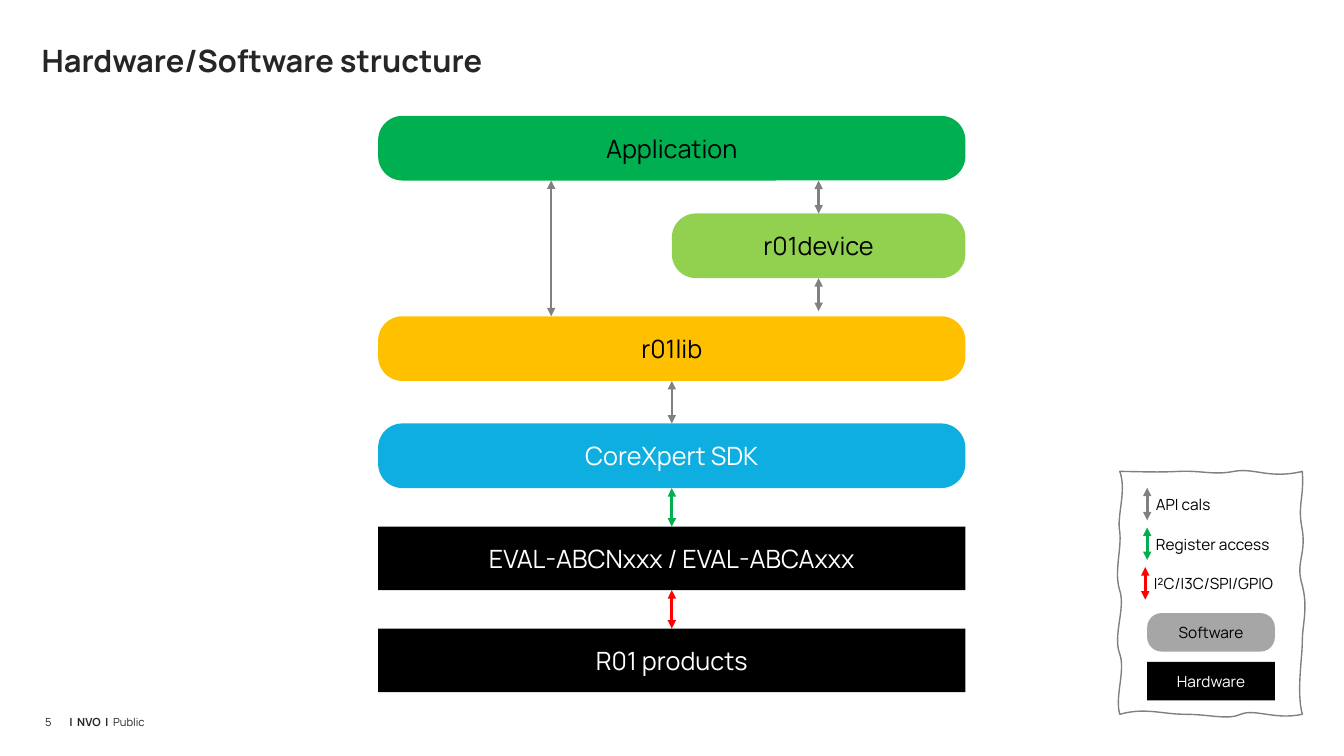
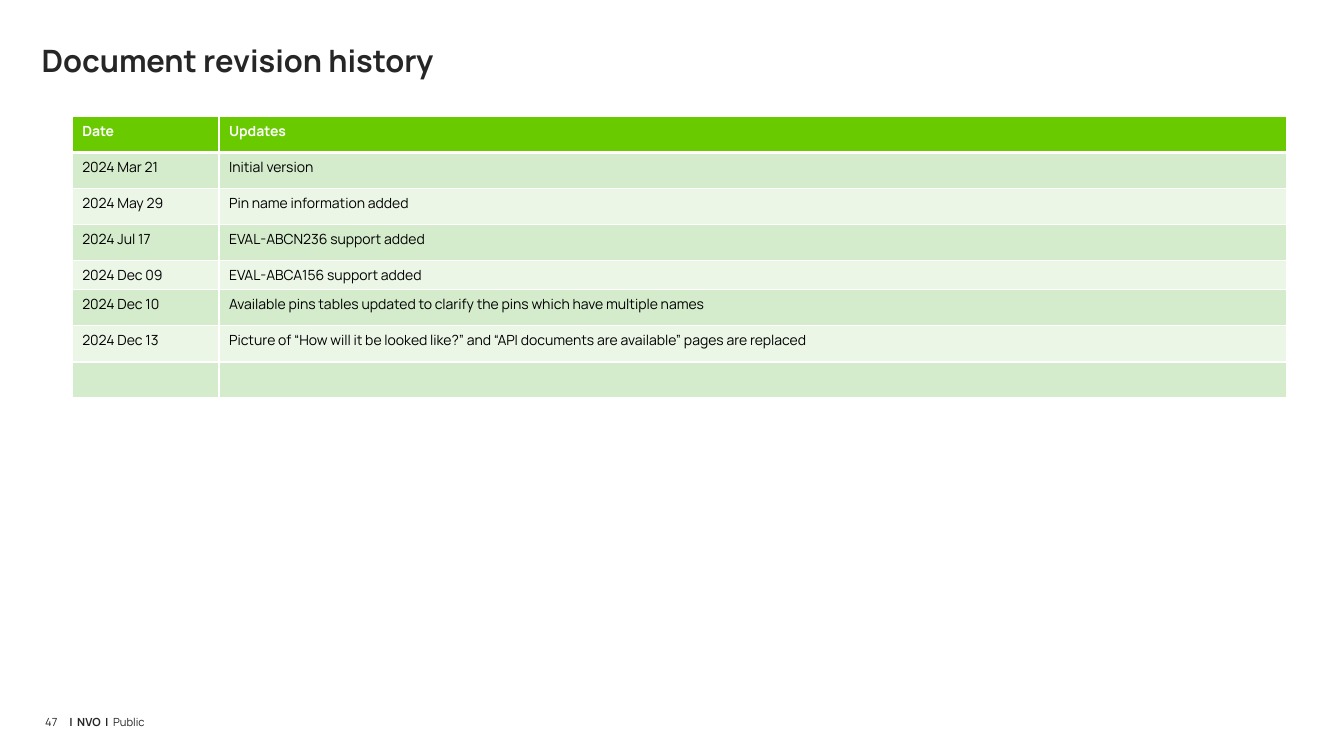
from pptx import Presentation
from pptx.dml.color import RGBColor
from pptx.enum.shapes import MSO_CONNECTOR, MSO_SHAPE
from pptx.enum.text import MSO_ANCHOR, PP_ALIGN
from pptx.oxml import parse_xml
from pptx.oxml.ns import nsdecls, qn
from pptx.util import Cm, Pt

STRAIGHT = MSO_CONNECTOR.STRAIGHT
RECTANGLE = MSO_SHAPE.RECTANGLE
ROUNDED = MSO_SHAPE.ROUNDED_RECTANGLE
TOP, MIDDLE = MSO_ANCHOR.TOP, MSO_ANCHOR.MIDDLE
LEFT, CENTER = PP_ALIGN.LEFT, PP_ALIGN.CENTER
TOP_SITE, BOTTOM_SITE = 0, 2

FONT = "Manrope"
INK = RGBColor(0x26, 0x26, 0x26)
BLACK = RGBColor(0x00, 0x00, 0x00)
WHITE = RGBColor(0xFF, 0xFF, 0xFF)
GRAY = RGBColor(0x80, 0x80, 0x80)
SILVER = RGBColor(0xA6, 0xA6, 0xA6)
GREEN = RGBColor(0x00, 0xB0, 0x50)
LIME = RGBColor(0x92, 0xD0, 0x50)
AMBER = RGBColor(0xFF, 0xC0, 0x00)
BLUE = RGBColor(0x0E, 0xAF, 0xE0)
RED = RGBColor(0xFF, 0x00, 0x00)
HEADER_GREEN = RGBColor(0x69, 0xCA, 0x00)
BAND_DARK = RGBColor(0xD4, 0xEC, 0xCC)
BAND_LIGHT = RGBColor(0xEB, 0xF6, 0xE7)

LEGEND_ARROWS = [
    ("API cals", GRAY, 0.69),
    ("Register access", GREEN, 0.69),
    ("I²C/I3C/SPI/GPIO", RED, 0.64),
]
WAVY_CURVES = [
    ((0.41, 0), (0.89, 0.03), (1.47, 0)),
    ((2.06, -0.03), (2.36, 0.1), (2.87, 0)),
    ((3.4, -0.1), (3.76, 0.2), (4.6, 0)),
    ((4.65, 0.69), (4.47, 0.84), (4.6, 1.47)),
    ((4.7, 2.11), (4.42, 2.29), (4.6, 2.87)),
    ((4.75, 3.45), (4.6, 3.86), (4.6, 4.29)),
    ((4.6, 4.7), (4.45, 5.56), (4.6, 6.12)),
    ((3.91, 6.27), (3.4, 5.97), (3.05, 6.12)),
    ((2.72, 6.27), (2.26, 6.12), (1.65, 6.12)),
    ((1.07, 6.12), (0.64, 5.94), (0, 6.12)),
    ((-0.13, 5.66), (0.15, 5.03), (0, 4.6)),
    ((-0.18, 4.14), (0.15, 3.45), (0, 3)),
    ((-0.15, 2.54), (0.05, 1.96), (0, 1.52)),
    ((-0.08, 1.12), (0.18, 0.48), (0, 0)),
]
REVISIONS = [
    ("Date", "Updates"),
    ("2024 Mar 21", "Initial version"),
    ("2024 May 29", "Pin name information added"),
    ("2024 Jul 17", "EVAL-ABCN236 support added"),
    ("2024 Dec 09", "EVAL-ABCA156 support added"),
    ("2024 Dec 10", "Available pins tables updated to clarify the pins which have multiple names"),
    ("2024 Dec 13", "Picture of “How will it be looked like?” and “API documents are available” pages are replaced"),
    ("", ""),
]


def write_text(frame, text, size=11, color=BLACK, bold=False, align=LEFT, spacing=None):
    paragraph = frame.paragraphs[0]
    paragraph.alignment = align
    if spacing:
        paragraph.line_spacing = Pt(spacing)
    if not text:
        paragraph._p.append(parse_xml(f'<a:endParaRPr {nsdecls("a")} sz="{size * 100}"/>'))
        return
    run = paragraph.add_run()
    run.text = text
    run.font.name = FONT
    run.font.size = Pt(size)
    run.font.bold = bold
    run.font.color.rgb = color


def clear_margins(frame):
    frame.margin_left = frame.margin_right = 0
    frame.margin_top = frame.margin_bottom = 0


def add_text_box(slide, left, top, width, height, wrap=True):
    frame = slide.shapes.add_textbox(Cm(left), Cm(top), Cm(width), Cm(height)).text_frame
    frame.word_wrap = wrap
    clear_margins(frame)
    return frame


def add_block(slide, kind, text, left, top, width, height, fill, color, size=18):
    shape = slide.shapes.add_shape(kind, Cm(left), Cm(top), Cm(width), Cm(height))
    if kind == ROUNDED:
        shape.adjustments[0] = 0.375
    shape.shadow.inherit = False
    shape.fill.solid()
    shape.fill.fore_color.rgb = fill
    shape.line.fill.background()
    shape.text_frame.word_wrap = True
    shape.text_frame.vertical_anchor = MIDDLE
    write_text(shape.text_frame, text, size=size, color=color, align=CENTER)
    return shape


def add_arrow(slide, x, top, bottom, color, upper=None, lower=None, weight=2):
    connector = slide.shapes.add_connector(STRAIGHT, Cm(x), Cm(top), Cm(x), Cm(bottom))
    if upper is not None:
        connector.begin_connect(upper, BOTTOM_SITE)
    if lower is not None:
        connector.end_connect(lower, TOP_SITE)
    connector.line.color.rgb = color
    connector.line.width = Pt(weight)
    properties = connector._element.spPr
    line = properties.find(qn("a:ln"))
    for end in ("headEnd", "tailEnd"):
        line.append(parse_xml(f'<a:{end} {nsdecls("a")} type="triangle"/>'))
    properties.append(parse_xml(f'<a:effectLst {nsdecls("a")}/>'))


def add_base_slide(presentation, title, number):
    slide = presentation.slides.add_slide(presentation.slide_layouts[5])
    heading = slide.shapes.title
    heading.left, heading.top = Cm(1.05), Cm(1.04)
    heading.width, heading.height = Cm(31.75), Cm(1.88)
    clear_margins(heading.text_frame)
    heading.text_frame.vertical_anchor = TOP
    write_text(heading.text_frame, title, size=22, color=INK, bold=True)
    footer = add_text_box(slide, 1.75, 17.78, 11.28, 0.48)
    for text, bold in (("|  NVO  |  ", True), ("Public", False)):
        write_text(footer, text, size=8, color=INK, bold=bold, spacing=16.8)
    page = add_text_box(slide, 1.14, 17.78, 0.46, 0.48, wrap=False)
    write_text(page, str(number), size=8, color=INK, spacing=16.8)
    return slide


def add_stack(slide, left, top, width):
    half = width / 2
    center, device_center = left + half, left + 0.75 * width
    soft, hard = 1.63, 1.6
    device_top, library_top = top + 2.46, top + 5.05
    kit_top, board_top, product_top = top + 7.75, top + 10.35, top + 12.92
    board = add_block(slide, RECTANGLE, "EVAL-ABCNxxx / EVAL-ABCAxxx",
                      left, board_top, width, hard, BLACK, WHITE)
    products = add_block(slide, RECTANGLE, "R01 products",
                         left, product_top, width, hard, BLACK, WHITE)
    kit = add_block(slide, ROUNDED, "CoreXpert SDK", left, kit_top, width, soft, BLUE, WHITE)
    library = add_block(slide, ROUNDED, "r01lib", left, library_top, width, soft, AMBER, BLACK)
    device = add_block(slide, ROUNDED, "r01device", center, device_top, half, soft, LIME, BLACK)
    add_block(slide, ROUNDED, "Application", left, top, width, soft, GREEN, BLACK)
    add_arrow(slide, left + 4.36, top + soft, library_top, GRAY, weight=1.5)
    add_arrow(slide, device_center, top + soft, device_top, GRAY, lower=device)
    add_arrow(slide, device_center, device_top + soft, library_top - 0.13, GRAY, upper=device)
    add_arrow(slide, center, library_top + soft, kit_top, GRAY, library, kit, weight=1.5)
    add_arrow(slide, center, kit_top + soft, board_top, GREEN, kit, board)
    add_arrow(slide, center, board_top + hard, product_top, RED, board, products)


def bend_segments(outline):
    segments = list(outline._element.iter(qn("a:lnTo")))
    for index in range(0, len(segments), 3):
        first, second, end = segments[index:index + 3]
        curve = parse_xml(f'<a:cubicBezTo {nsdecls("a")}/>')
        first.addprevious(curve)
        for segment in (first, second, end):
            curve.append(segment[0])
            segment.getparent().remove(segment)


def add_wavy_frame(slide, left, top):
    points = [(Cm(left + x), Cm(top + y)) for curve in WAVY_CURVES for x, y in curve]
    builder = slide.shapes.build_freeform(Cm(left), Cm(top))
    builder.add_line_segments(points, close=True)
    outline = builder.convert_to_shape()
    bend_segments(outline)
    outline.shadow.inherit = False
    outline.fill.background()
    outline.line.color.rgb = GRAY
    outline.line.width = Pt(1)


def add_legend(slide, left, top):
    for index, (label, color, indent) in enumerate(LEGEND_ARROWS):
        y = top + 0.41 + index
        add_arrow(slide, left + indent, y, y + 0.82, color)
        frame = add_text_box(slide, left + indent + 0.22, y + 0.19, 3.2, 0.48, wrap=False)
        write_text(frame, label)
    add_block(slide, ROUNDED, "Software", left + 0.69, top + 3.57, 3.22, 0.97, SILVER, BLACK, size=11)
    add_block(slide, RECTANGLE, "Hardware", left + 0.69, top + 4.8, 3.22, 0.97, BLACK, WHITE, size=11)
    add_wavy_frame(slide, left, top)


def set_borders(cell, top=1, bottom=1):
    properties = cell._tc.get_or_add_tcPr()
    for side, points in (("L", 1), ("R", 1), ("T", top), ("B", bottom)):
        properties.append(parse_xml(
            f'<a:ln{side} {nsdecls("a")} w="{Pt(points)}"><a:solidFill>'
            f'<a:srgbClr val="{WHITE}"/></a:solidFill></a:ln{side}>'))


def add_revision_table(slide, left, top, width):
    row_height, short_row, short_height, date_width = 0.91, 4, 0.73, 3.7
    count = len(REVISIONS)
    height = (count - 1) * row_height + short_height
    table = slide.shapes.add_table(count, 2, Cm(left), Cm(top), Cm(width), Cm(height)).table
    table.columns[0].width = Cm(date_width)
    table.columns[1].width = Cm(width - date_width)
    for row, texts in enumerate(REVISIONS):
        table.rows[row].height = Cm(short_height if row == short_row else row_height)
        header = row == 0
        fill = HEADER_GREEN if header else BAND_DARK if row % 2 else BAND_LIGHT
        for column, text in enumerate(texts):
            cell = table.cell(row, column)
            set_borders(cell, top=3 if row == 1 else 1, bottom=3 if header else 1)
            cell.fill.solid()
            cell.fill.fore_color.rgb = fill
            write_text(cell.text_frame, text, size=10, bold=header, color=WHITE if header else BLACK)


def main():
    presentation = Presentation()
    presentation.slide_width, presentation.slide_height = Cm(33.87), Cm(19.05)
    structure = add_base_slide(presentation, "Hardware/Software structure", 5)
    add_stack(structure, 9.53, 2.92, 14.8)
    add_legend(structure, 28.22, 11.88)
    history = add_base_slide(presentation, "Document revision history", 47)
    add_revision_table(history, 1.82, 2.93, 30.6)
    presentation.save("out.pptx")


if __name__ == "__main__":
    main()
